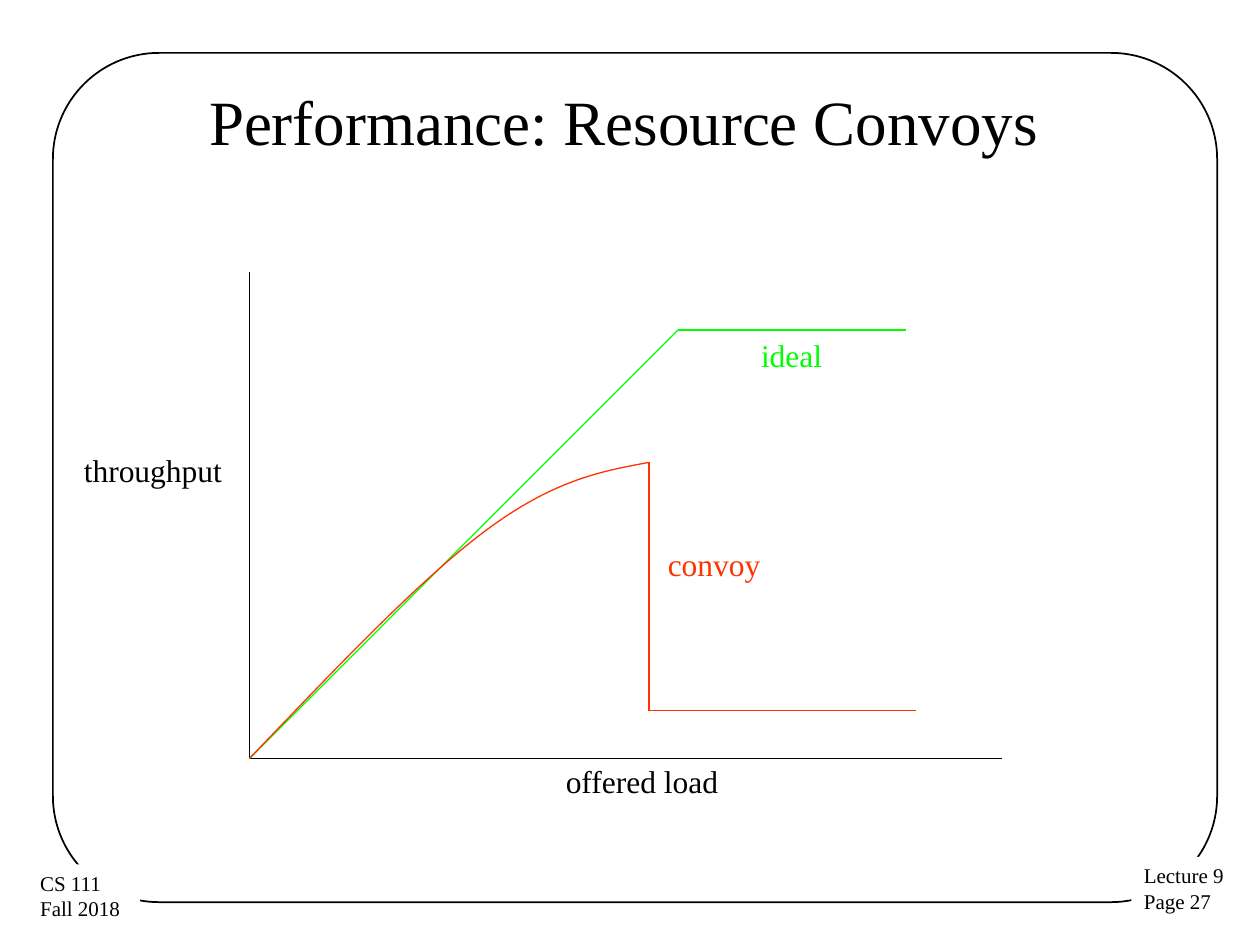
from lxml.etree import SubElement
from pptx import Presentation
from pptx.dml.color import RGBColor
from pptx.enum.shapes import MSO_CONNECTOR as CONN, MSO_SHAPE as SHAPE
from pptx.enum.text import MSO_ANCHOR as ANCHOR, PP_ALIGN as ALIGN
from pptx.oxml.ns import qn
from pptx.util import Inches, Pt

THEME = dict(font="Times New Roman", title=36, label=18, footer=12, frame=1, line=0.75,
             ink="000000", paper="FFFFFF", ideal="00FF00", convoy="FF3300")

ORIGIN = (1.98, 6.02)
KNEE = (5.38, 2.62)
PEAK = (5.15, 3.67)
DROP = (5.15, 5.64)

TITLE = ("Performance: Resource Convoys", (0.68, 0.33, 8.54, 1.25))
FOOTERS = [
    ("Lecture 9\nPage 27", (8.98, 6.8, 0.85, 0.51)),
    ("CS 111\nFall 2018", (0.22, 6.86, 0.89, 0.51)),
]
LABELS = [
    ("throughput ", (0.57, 3.53, 1.35, 0.39), "ink", ALIGN.CENTER),
    ("offered load", (4.4, 6, 1.41, 0.39), "ink", ALIGN.LEFT),
    ("ideal", (5.95, 2.62, 0.67, 0.39), "ideal", ALIGN.LEFT),
    ("convoy", (5.21, 4.28, 0.93, 0.39), "convoy", ALIGN.LEFT),
]
LINES = [
    ("ink", [(1.98, 2.16), ORIGIN, (7.95, 6.02)]),
    ("ideal", [ORIGIN, KNEE, (7.19, 2.62)]),
    ("convoy", [PEAK, DROP, (7.27, 5.64)]),
]
CURVE = [ORIGIN, (2.66, 5.31), (3.34, 4.59), (3.87, 4.2), (4.4, 3.81), (4.77, 3.74), PEAK]


def color(name):
    return RGBColor.from_string(THEME[name])


def add_text(s, text, box, size="label", ink="ink", align=ALIGN.LEFT,
             anchor=ANCHOR.TOP, wrap=False, inset=0.09, fill=None):
    sp = s.shapes.add_textbox(*map(Inches, box))
    if fill:
        sp.fill.solid()
        sp.fill.fore_color.rgb = color(fill)
    tf = sp.text_frame
    tf.word_wrap = wrap
    tf.vertical_anchor = anchor
    tf.margin_left = tf.margin_right = Inches(inset)
    tf.margin_top = tf.margin_bottom = Inches(0.05)
    for i, row in enumerate(text.split("\n")):
        p = tf.add_paragraph() if i else tf.paragraphs[0]
        p.alignment = align
        r = p.add_run()
        r.text = row
        r.font.name = THEME["font"]
        r.font.size = Pt(THEME[size])
        r.font.color.rgb = color(ink)


def style_line(sp, ink, width="line"):
    sp.line.color.rgb = color(ink)
    sp.line.width = Pt(THEME[width])


def add_outline(s, sp, ink, width="line"):
    sp.shadow.inherit = False
    sp.fill.background()
    style_line(sp, ink, width)


def add_polyline(s, points, ink):
    for start, end in zip(points, points[1:]):
        c = s.shapes.add_connector(CONN.STRAIGHT, *map(Inches, start + end))
        style_line(c, ink)
        SubElement(c._element.spPr, qn("a:effectLst"))


def add_curve(s, points, ink):
    start, *rest = [tuple(map(Inches, pt)) for pt in points]
    fb = s.shapes.build_freeform(*start)
    fb.add_line_segments(rest, close=False)
    sp = fb.convert_to_shape()
    add_outline(s, sp, ink)
    segments = list(sp._element.iter(qn("a:lnTo")))
    for i in range(0, len(segments), 3):
        bezier = SubElement(segments[i].getparent(), qn("a:cubicBezTo"))
        for segment in segments[i:i + 3]:
            bezier.append(segment[0])
            segment.getparent().remove(segment)


def main():
    prs = Presentation()
    prs.slide_width, prs.slide_height = Inches(10), Inches(7.5)
    s = prs.slides.add_slide(prs.slide_layouts[6])

    frame = s.shapes.add_shape(SHAPE.ROUNDED_RECTANGLE, *map(Inches, (0.42, 0.42, 9.24, 6.74)))
    frame.adjustments[0] = 0.125
    add_outline(s, frame, "ink", "frame")

    for text, box in FOOTERS:
        add_text(s, text, box, size="footer", inset=0.1, fill="paper")
    add_text(s, *TITLE, size="title", align=ALIGN.CENTER, anchor=ANCHOR.MIDDLE, wrap=True)
    for ink, points in LINES:
        add_polyline(s, points, ink)
    add_curve(s, CURVE, "convoy")
    for text, box, ink, align in LABELS:
        add_text(s, text, box, ink=ink, align=align)
    prs.save("out.pptx")


if __name__ == "__main__":
    main()
